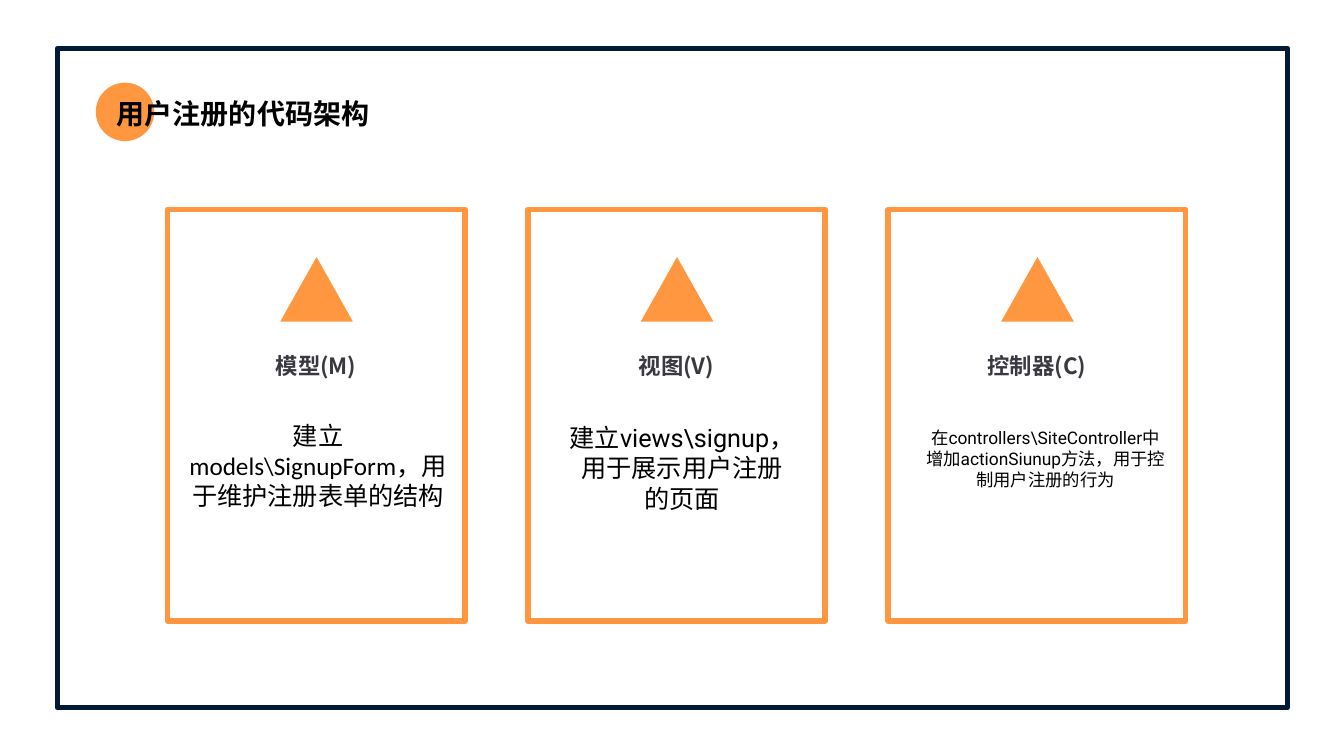
from dataclasses import dataclass

from lxml.etree import SubElement
from pptx import Presentation
from pptx.dml.color import RGBColor as Color
from pptx.enum.shapes import MSO_SHAPE as Shape
from pptx.enum.text import MSO_ANCHOR as Anchor, PP_ALIGN as Align
from pptx.oxml.ns import qn
from pptx.util import Inches, Pt


@dataclass(frozen=True)
class Theme:
    navy: Color = Color.from_string("001A37")
    orange: Color = Color.from_string("FF9740")
    slate: Color = Color.from_string("393941")
    black: Color = Color.from_string("000000")
    east_asian: str = "Noto Sans CJK SC"
    title_size: float = 20
    label_size: float = 16
    body_size: float = 18
    small_size: float = 12.4
    frame_line: float = 3.75
    card_line: float = 4


theme = Theme()
deck = Presentation()
deck.slide_width = Inches(13.33)
deck.slide_height = Inches(7.5)
page = deck.slides.add_slide(deck.slide_layouts[6])


def add_figure(kind, left, top, width, height, color, line_width=None):
    figure = page.shapes.add_shape(
        kind, Inches(left), Inches(top), Inches(width), Inches(height))
    figure.shadow.inherit = False
    if line_width:
        figure.fill.background()
        figure.line.color.rgb = color
        figure.line.width = Pt(line_width)
    else:
        figure.fill.solid()
        figure.fill.fore_color.rgb = color
        figure.line.fill.background()


def add_text(text, left, top, width, height, size, font, color, bold=False,
             align=Align.CENTER, inset=(0.04, 0.04), anchor=Anchor.TOP, spacing=None):
    box = page.shapes.add_textbox(
        Inches(left), Inches(top), Inches(width), Inches(height))
    frame = box.text_frame
    frame.word_wrap = True
    frame.vertical_anchor = anchor
    frame.margin_left = frame.margin_right = Inches(inset[0])
    frame.margin_top = frame.margin_bottom = Inches(inset[1])
    para = frame.paragraphs[0]
    para.alignment = align
    para.line_spacing = spacing
    span = para.add_run()
    span.text = text
    span.font.size = Pt(size)
    span.font.bold = bold
    span.font.color.rgb = color
    span.font.name = font
    SubElement(span.font._element, qn("a:ea"), typeface=theme.east_asian)


add_figure(Shape.RECTANGLE, 0.57, 0.48, 12.2, 6.54, theme.navy, theme.frame_line)
add_figure(Shape.OVAL, 0.95, 0.82, 0.58, 0.58, theme.orange)
add_text("用户注册的代码架构", 1.06, 0.91, 3.01, 0.43, theme.title_size, "Calibri",
         theme.black, bold=True, align=Align.LEFT, inset=(0.1, 0.05))

cards = [
    ("模型(M)", "建立models\\SignupForm，用于维护注册表单的结构",
     (1.68, 4.12, 2.95, 0.99), theme.body_size, "Calibri", (0.1, 0.05)),
    ("视图(V)", "建立views\\signup，用于展示用户注册的页面",
     (5.6, 4.15, 2.33, 1.06), theme.body_size, "Roboto", (0.04, 0.04)),
    ("控制器(C)", "在controllers\\SiteController中增加actionSiunup方法，用于控制用户注册的行为",
     (9.12, 4.2, 2.5, 1.28), theme.small_size, "Roboto", (0.04, 0.04)),
]
first_left, card_step = 1.66, 3.575

for index, (label, body, place, size, font, inset) in enumerate(cards):
    left = first_left + index * card_step
    add_figure(Shape.RECTANGLE, left, 2.08, 2.95, 4.08, theme.orange, theme.card_line)
    add_figure(Shape.ISOSCELES_TRIANGLE, left + 1.12, 2.55, 0.72, 0.64, theme.orange)
    add_text(label, left + 0.41, 3.5, 2.13, 0.3, theme.label_size, theme.east_asian,
             theme.slate, bold=True, anchor=Anchor.MIDDLE, spacing=0.8)
    add_text(body, *place, size, font, theme.black, inset=inset)

deck.save("out.pptx")
